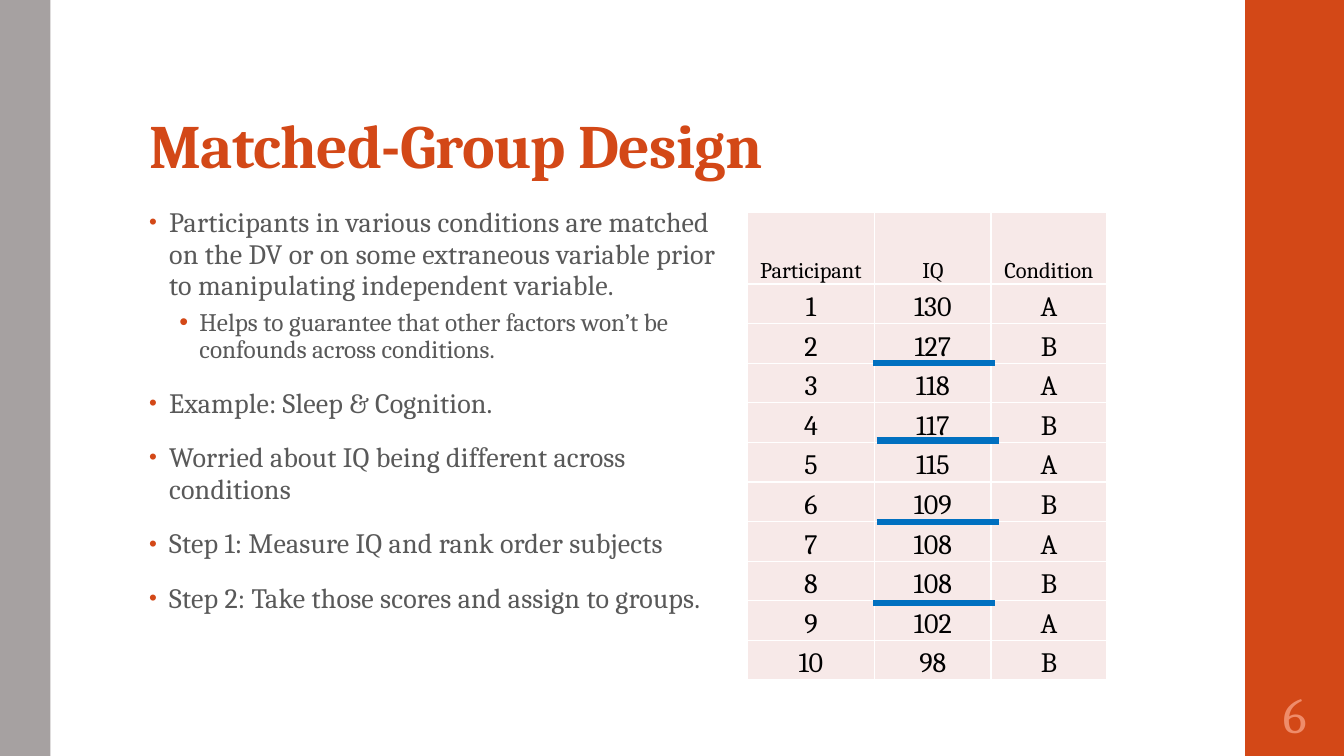
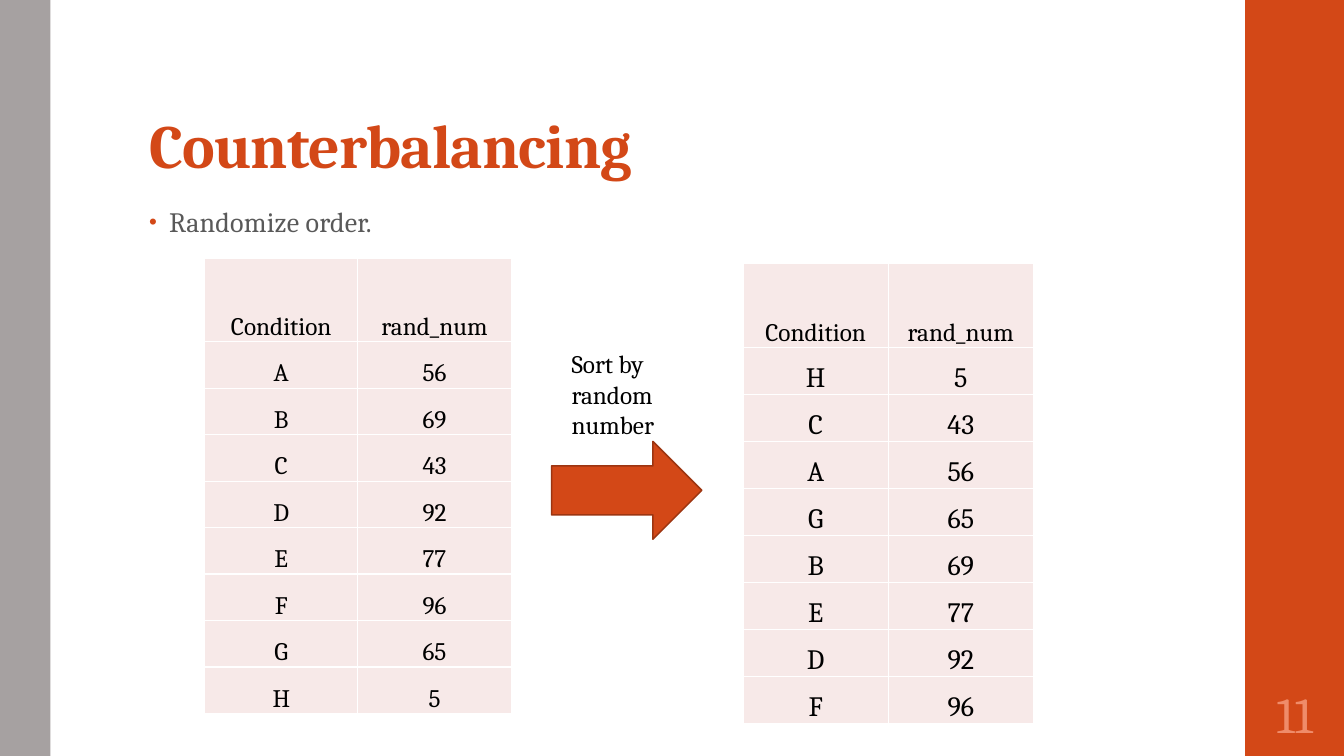
import pptx
import pptx.util
import pptx.dml.color
import pptx.enum.shapes
import pptx.enum.text
import pptx.oxml.ns
from lxml import etree

COLORS = {
    "orange": "D34817", "orange_dark": "9C3511", "orange_light": "EF8C6A",
    "gray": "A6A1A1", "body": "595959", "black": "000000",
    "cell": "F7E9E8", "white": "FFFFFF", "rule": "0070C0",
}
FONT = "Cambria"
COLS, ROWS = 133.3, 75
HEAD_ROWS = 1.8
TITLE_BOX = (13.8, 3.2, 106, 15.3)
BANDS = [((0, 0, 5, ROWS), "gray"), ((123.5, 0, 9.8, ROWS), "orange")]
NUMBER_BOX = (123.5, 67.5, 9.8, 6.5)
SHAPES = pptx.enum.shapes.MSO_SHAPE
ALIGN = pptx.enum.text.PP_ALIGN
ANCHOR = pptx.enum.text.MSO_ANCHOR
LEVELS = [
    dict(size=20, spacing=0.95, before=14, after=2, spc=10, indent=2, bullet_pct=80),
    dict(size=18, spacing=0.9, before=3, after=3, spc=0, indent=5, bullet_pct=100),
]


def grid(*cells):
    """Turn grid columns or rows, ten to the inch, into lengths."""
    return [pptx.util.Inches(c / 10) for c in cells]


def rgb(name):
    """Look up a named colour."""
    return pptx.dml.color.RGBColor.from_string(COLORS[name])


def sub(parent, tag, **attrs):
    """Append a DrawingML element to a parent."""
    return etree.SubElement(parent, pptx.oxml.ns.qn("a:" + tag), attrs)


def write(tf, text, size=18, color="black", bold=False, align=ALIGN.LEFT, spc=0,
          spacing=None, before=0, after=0, indent=None, bullet_pct=100, level=0):
    """Add one formatted paragraph to a text frame."""
    first = not tf.paragraphs[0].text
    p = tf.paragraphs[0] if first else tf.add_paragraph()
    p.alignment, p.level = align, level
    p.space_before = pptx.util.Pt(0 if first else before)
    p.space_after = pptx.util.Pt(after)
    if spacing:
        p.line_spacing = spacing
    if indent:
        pPr = p._p.get_or_add_pPr()
        margin, hang = grid(indent, -2)
        pPr.set("marL", str(margin))
        pPr.set("indent", str(hang))
        sub(sub(pPr, "buClr"), "srgbClr", val=COLORS["orange"])
        sub(pPr, "buSzPct", val=str(bullet_pct * 1000))
        sub(pPr, "buFont", typeface="Arial")
        sub(pPr, "buChar", char="•")
    r = p.add_run()
    r.text = text
    r.font.size, r.font.name, r.font.bold = pptx.util.Pt(size), FONT, bold
    r.font.color.rgb = rgb(color)
    r._r.get_or_add_rPr().set("spc", str(spc))


def set_frame(tf, anchor, insets):
    """Set wrapping, anchor and insets (left, top, right, bottom) of a frame."""
    tf.word_wrap, tf.vertical_anchor = True, anchor
    tf.margin_left, tf.margin_top, tf.margin_right, tf.margin_bottom = grid(*insets)


def add_text(s, box, anchor=ANCHOR.TOP, insets=(1, 0.5, 1, 0.5)):
    """Add an empty text box and return its frame."""
    tf = s.shapes.add_textbox(*grid(*box)).text_frame
    set_frame(tf, anchor, insets)
    return tf


def add_shape(s, kind, box, fill, line=None):
    """Add a flat preset shape with an optional outline."""
    sp = s.shapes.add_shape(kind, *grid(*box))
    sp.shadow.inherit = False
    sp.fill.solid()
    sp.fill.fore_color.rgb = rgb(fill)
    if line:
        sp.line.color.rgb, sp.line.width = rgb(line), pptx.util.Pt(1.1)
    else:
        sp.line.fill.background()
    return sp


def add_master_bands(prs, s):
    """Draw the side bands and move them to the slide master."""
    for i, (box, fill) in enumerate(BANDS):
        sp = add_shape(s, SHAPES.RECTANGLE, box, fill)
        sp.element.xpath(".//p:cNvPr")[0].set("id", str(100 + i))
        prs.slide_master.shapes.element.insert(2, sp.element)


def add_slide(prs, title, number):
    """Add a slide with its title and number."""
    s = prs.slides.add_slide(prs.slide_layouts[5])
    sp = s.shapes.title
    sp.left, sp.top, sp.width, sp.height = grid(*TITLE_BOX)
    set_frame(sp.text_frame, ANCHOR.BOTTOM, (1, 0.3, 1, 0.5))
    write(sp.text_frame, title, size=44, color="orange", bold=True, spc=-50, spacing=0.9)
    tf = add_text(s, NUMBER_BOX, ANCHOR.MIDDLE, (0.5,) * 4)
    write(tf, str(number), size=36, color="orange_light", align=ALIGN.CENTER)
    return s


def add_bullets(s, box, items):
    """Add a bulleted list of (level, text) items."""
    tf = add_text(s, box)
    for level, text in items:
        write(tf, text, color="body", level=level, **LEVELS[level])


def format_cell(cell, text, size):
    """Fill, border and write one table cell."""
    cell.fill.solid()
    cell.fill.fore_color.rgb = rgb("cell")
    cell.vertical_anchor = ANCHOR.BOTTOM
    cell.margin_left = cell.margin_right = cell.margin_top = cell.margin_bottom = 0
    write(cell.text_frame, text, size=size, align=ALIGN.CENTER)
    tcPr = cell._tc.get_or_add_tcPr()
    for i, side in enumerate(("lnL", "lnR", "lnT", "lnB")):
        ln = sub(tcPr, side, w="12700")
        sub(sub(ln, "solidFill"), "srgbClr", val=COLORS["white"])
        tcPr.insert(i, ln)


def row_height(height, count):
    """Give the body row height of a table with a tall header."""
    return height / (count - 1 + HEAD_ROWS)


def add_table(s, box, rows, weights, head_size=18, body_size=18):
    """Fill a box with a table whose columns follow the weights."""
    left, top, width, height = box
    table = s.shapes.add_table(len(rows), len(weights), *grid(*box)).table
    table.first_row = table.horz_banding = False
    for col, weight in zip(table.columns, weights):
        col.width, = grid(width * weight / sum(weights))
    unit = row_height(height, len(rows))
    for i, values in enumerate(rows):
        table.rows[i].height, = grid(unit if i else unit * HEAD_ROWS)
        for j, value in enumerate(values):
            format_cell(table.cell(i, j), str(value), body_size if i else head_size)


def add_pair_rules(s, box, count, marks):
    """Rule off pairs at (share of width, body row) inside a table box."""
    left, top, width, height = box
    unit = row_height(height, count)
    for share, row in marks:
        x, y = left + width * share, top + unit * (HEAD_ROWS + row)
        line = s.shapes.add_connector(pptx.enum.shapes.MSO_CONNECTOR.STRAIGHT,
                                      *grid(x, y, x + width * 0.34, y))
        line.line.color.rgb, line.line.width = rgb("rule"), pptx.util.Pt(4.5)
        sub(line.element.spPr, "effectLst")


def add_sort_step(s, box, text):
    """Place a caption above a right arrow inside a box."""
    left, top, width, height = box
    write(add_text(s, (left + 1, top, 11.1, height / 2)), text)
    add_shape(s, SHAPES.RIGHT_ARROW, (left, top + height / 2, width, height / 2),
              "orange", "orange_dark")


def matched_group(prs):
    """Build the matched-group slide."""
    s = add_slide(prs, "Matched-Group Design", 6)
    add_master_bands(prs, s)
    add_bullets(s, (13.8, 20, 60.3, 54), [
        (0, "Participants in various conditions are matched on the DV or on some "
            "extraneous variable prior to manipulating independent variable."),
        (1, "Helps to guarantee that other factors won’t be confounds across conditions."),
        (0, "Example: Sleep & Cognition."),
        (0, "Worried about IQ being different across conditions"),
        (0, "Step 1: Measure IQ and rank order subjects"),
        (0, "Step 2: Take those scores and assign to groups."),
    ])
    scores = [130, 127, 118, 117, 115, 109, 108, 108, 102, 98]
    rows = [("Participant", "IQ", "Condition")]
    rows += [(i + 1, iq, "AB"[i % 2]) for i, iq in enumerate(scores)]
    box = (74.1, 21.1, 35.7, 46.4)
    add_table(s, box, rows, (1.1, 1, 1), head_size=16, body_size=20)
    add_pair_rules(s, box, len(rows), [(0.35, 2), (0.36, 3.95), (0.36, 6), (0.35, 8.05)])


def counterbalancing(prs):
    """Build the counterbalancing slide."""
    s = add_slide(prs, "Counterbalancing", 11)
    add_bullets(s, (13.8, 20, 94, 5.6), [(0, "Randomize order.")])
    head = [("Condition", "rand_num")]
    draws = list(zip("ABCDEFGH", (56, 69, 43, 92, 77, 96, 65, 5)))
    ranked = sorted(draws, key=lambda draw: draw[1])
    add_table(s, (20.3, 25.6, 30.4, 45.2), head + draws, (1, 1))
    add_table(s, (73.7, 26.1, 28.8, 45.7), head + ranked, (1, 1), body_size=20)
    add_sort_step(s, (54.7, 34.1, 14.9, 19.4), "Sort by random number")


def main():
    """Build and save the presentation."""
    prs = pptx.Presentation()
    prs.slide_width, prs.slide_height = grid(COLS, ROWS)
    matched_group(prs)
    counterbalancing(prs)
    prs.save("out.pptx")


if __name__ == "__main__":
    main()
